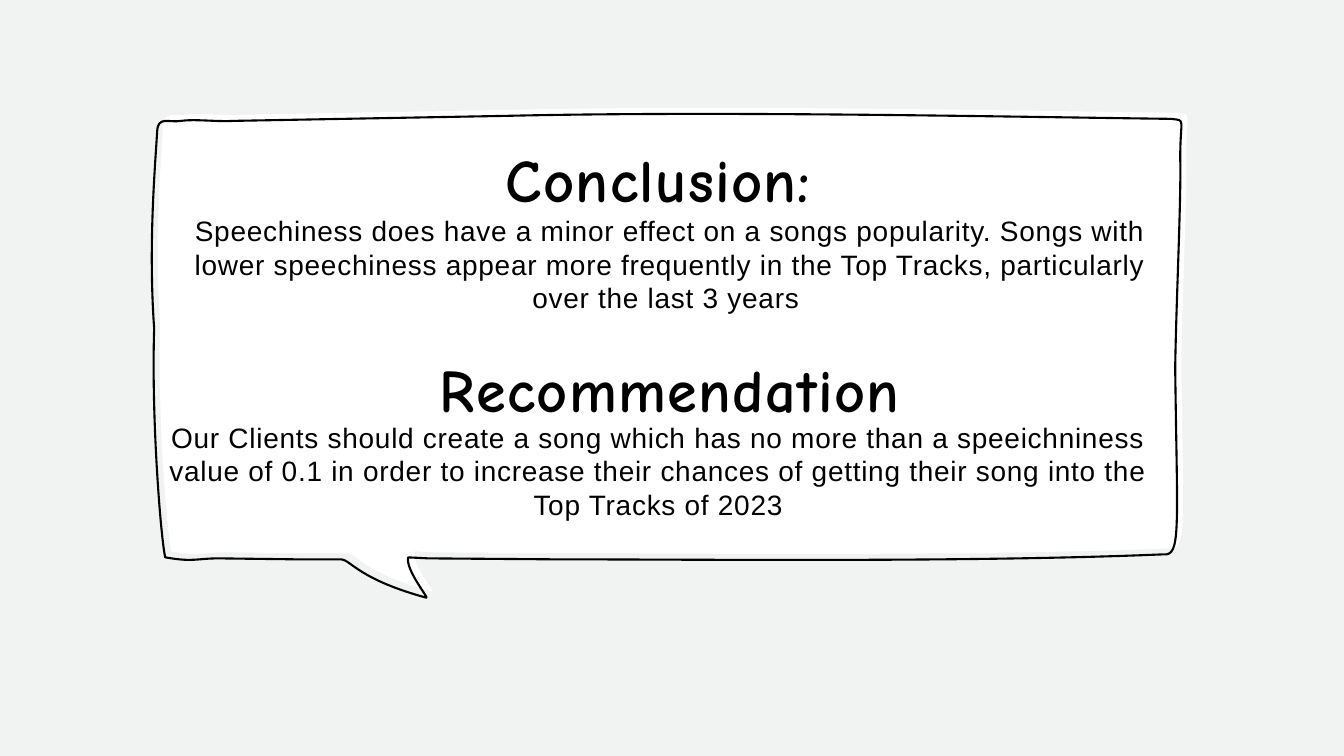
import math

import lxml.etree
import pptx
import pptx.dml.color
import pptx.enum.text
import pptx.oxml.ns
import pptx.util
from pptx.util import Cm, Pt

COLORS = {"page": "F0F3F1", "bubble": "FFFFFF", "ink": "000000"}
INCH = 2.54  # cm
TILT = -1  # degrees

# Speech bubble as it stands on the slide, in inches:
# two numbers are a line, six a Bezier curve
BUBBLE_BOX = (1.52, 1.11, 10.24, 4.77)
BUBBLE_START = (1.80, 1.20)
BUBBLE = [
    (1.67, 1.22, 1.57, 1.15, 1.56, 1.30),
    (1.54, 1.65, 1.47, 2.43, 1.53, 3.26),
    (1.50, 4.19, 1.60, 5.37, 1.64, 5.53),
    (1.92, 5.58, 1.95, 5.54, 2.17, 5.54),
    (2.99, 5.55),
    (3.39, 5.55),
    (3.48, 5.56, 3.57, 5.75, 4.23, 5.93),
    (4.26, 5.94, 4.02, 5.65, 4.05, 5.53),
    (4.25, 5.54),
    (5.53, 5.55),
    (6.95, 5.55, 9.64, 5.58, 11.54, 5.50),
    (11.72, 5.52, 11.68, 5.27, 11.66, 3.65),
    (11.67, 2.98, 11.72, 1.99, 11.71, 1.57),
    (11.71, 1.16, 11.77, 1.20, 11.62, 1.18),
    (10.02, 1.16, 7.19, 1.10, 5.03, 1.15),
    (2.32, 1.20),
    (2.15, 1.21, 1.93, 1.18, 1.80, 1.20),
]


def rgb(name):
    return pptx.dml.color.RGBColor.from_string(COLORS[name])


def place(sp, left, top, width, height):
    sp.left, sp.top, sp.width, sp.height = map(Cm, (left, top, width, height))


def untilt(x, y):
    """Return a slide point in EMU within the bubble's box before rotation."""
    left, top, width, height = BUBBLE_BOX
    dx, dy = x - left - width / 2, y - top - height / 2
    a = math.radians(-TILT)
    return (Cm((dx * math.cos(a) - dy * math.sin(a) + width / 2) * INCH),
            Cm((dx * math.sin(a) + dy * math.cos(a) + height / 2) * INCH))


def add_bubble(s, dx=0, dy=0):
    """Draw the bubble outline, moved by dx and dy inches."""
    left, top, width, height = BUBBLE_BOX
    builder = s.shapes.build_freeform(*untilt(*BUBBLE_START))
    builder.add_line_segments([untilt(*seg[-2:]) for seg in BUBBLE])
    sp = builder.convert_to_shape()
    sp.shadow.inherit = False
    place(sp, (left + dx) * INCH, (top + dy) * INCH, width * INCH, height * INCH)
    sp.rotation = TILT

    qn = pptx.oxml.ns.qn
    outline = sp._element.spPr.find(".//" + qn("a:path"))
    outline.set("w", str(Cm(width * INCH)))
    outline.set("h", str(Cm(height * INCH)))
    for child in list(outline):
        outline.remove(child)
    for i, seg in enumerate([BUBBLE_START] + BUBBLE):
        tag = "a:moveTo" if i == 0 else "a:lnTo" if len(seg) == 2 else "a:cubicBezTo"
        step = lxml.etree.SubElement(outline, qn(tag))
        for x, y in zip(seg[::2], seg[1::2]):
            px, py = untilt(x, y)
            lxml.etree.SubElement(step, qn("a:pt"), x=str(px), y=str(py))
    lxml.etree.SubElement(outline, qn("a:close"))
    return sp


def write(sp, text, font, size, spacing, bold=False, middle=False):
    """Fill a shape with one centred paragraph; spacing is in points."""
    tf = sp.text_frame
    tf.word_wrap = True
    tf.auto_size = pptx.enum.text.MSO_AUTO_SIZE.NONE
    anchor = pptx.enum.text.MSO_ANCHOR
    tf.vertical_anchor = anchor.MIDDLE if middle else anchor.TOP
    p = tf.paragraphs[0]
    p.text = text
    p.alignment = pptx.enum.text.PP_ALIGN.CENTER
    p.font.name = font
    p.font.size = Pt(size)
    p.font.bold = bold
    p.font.color.rgb = rgb("ink")
    for r in p.runs:
        r._r.get_or_add_rPr().set("spc", str(int(spacing * 100)))


def write_heading(sp, text, size):
    write(sp, text, "Comic Neue", size, 1, bold=True, middle=True)


def add_body(s, left, top, text):
    sp = s.shapes.add_textbox(Cm(left), Cm(top), Cm(25.65), Cm(3))
    write(sp, text, "Arial", 20, 0.5)


def main():
    prs = pptx.Presentation()
    prs.slide_width, prs.slide_height = Cm(33.87), Cm(19.05)
    s = prs.slides.add_slide(prs.slide_layouts[5])
    s.background.fill.solid()
    s.background.fill.fore_color.rgb = rgb("page")

    paper = add_bubble(s, 0.06, -0.06)
    paper.fill.solid()
    paper.fill.fore_color.rgb = rgb("bubble")
    paper.line.fill.background()

    outline = add_bubble(s)
    outline.fill.background()
    outline.line.color.rgb = rgb("ink")
    outline.line.width = Pt(1.5)

    title = s.shapes.title
    s.shapes._spTree.append(title._element)  # bring in front of the bubble
    place(title, 6.4, 4.9, 21, 1.04)
    write_heading(title, "Conclusion: \v", 43.2)
    add_body(s, 4.06, 5.26,
             "Speechiness does have a minor effect on a songs popularity. "
             "Songs with lower speechiness appear more frequently in the "
             "Top Tracks, particularly over the last 3 years ")

    heading = s.shapes.add_textbox(Cm(6.38), Cm(9.27), Cm(21), Cm(1.04))
    write_heading(heading, "Recommendation", 43)
    add_body(s, 3.76, 10.46,
             "Our Clients should create a song which has no more than a "
             "speeichniness value of 0.1 in order to increase their chances "
             "of getting their song into the Top Tracks of 2023")

    prs.save("out.pptx")


if __name__ == "__main__":
    main()
